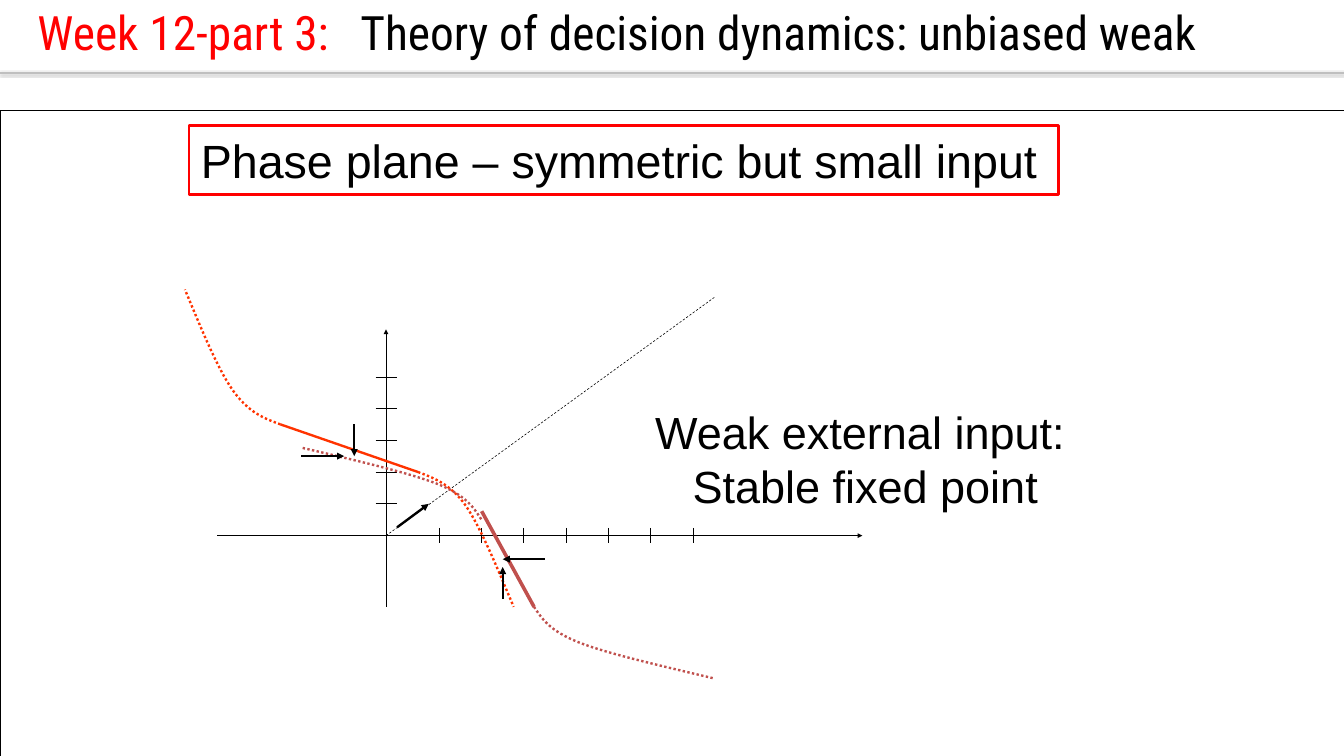
from dataclasses import dataclass
from typing import NamedTuple

from lxml import etree
from pptx import Presentation
from pptx.dml.color import RGBColor
from pptx.enum.dml import MSO_LINE
from pptx.enum.shapes import MSO_CONNECTOR, MSO_SHAPE
from pptx.enum.text import MSO_ANCHOR, MSO_AUTO_SIZE, PP_ALIGN
from pptx.oxml.ns import qn
from pptx.shapes.connector import Connector
from pptx.slide import Slide
from pptx.text.text import TextFrame
from pptx.util import Cm, Pt

STRAIGHT = MSO_CONNECTOR.STRAIGHT
RECT = MSO_SHAPE.RECTANGLE
DASH = MSO_LINE.DASH
DOT = MSO_LINE.ROUND_DOT
TOP = MSO_ANCHOR.TOP
LEFT = PP_ALIGN.LEFT
FIXED = MSO_AUTO_SIZE.NONE


@dataclass(frozen=True)
class Theme:
    black: RGBColor = RGBColor(0, 0, 0)
    red: RGBColor = RGBColor(255, 0, 0)
    orange: RGBColor = RGBColor(0xFF, 0x33, 0)
    brick: RGBColor = RGBColor(0xC0, 0x50, 0x4D)
    grey: RGBColor = RGBColor(0xBF, 0xBF, 0xBF)
    head: str = "Roboto Condensed"
    body: str = "Arial"
    title: float = 60
    topic: float = 59
    note: float = 57
    thin: float = 0.75
    bold: float = 3


THEME = Theme()
Point = tuple[float, float]


class Line(NamedTuple):
    start: Point
    end: Point
    color: RGBColor = THEME.black
    width: float = THEME.thin
    dash: MSO_LINE | None = None
    arrow: bool = False


class Curve(NamedTuple):
    color: RGBColor
    points: list[Point]


class Label(NamedTuple):
    box: tuple[float, float, float, float]
    lines: list[str]
    size: float
    indent: float = 0
    border: RGBColor | None = None


WIDTH, HEIGHT = 60.02, 33.76
ORIGIN = (17.24, 23.92)
LOW = 27.1

AXES = [
    Line((ORIGIN[0], LOW), (ORIGIN[0], 14.71), arrow=True),
    Line((9.7, ORIGIN[1]), (38.51, ORIGIN[1]), arrow=True),
    Line(ORIGIN, (31.9, 13.28), dash=DASH),
]
TICKS = [Line((x, 23.57), (x, 24.26)) for x in (19.61 + 1.89 * i for i in range(7))]
TICKS += [Line((16.77, y), (17.73, y)) for y in (22.49 - 1.415 * i for i in range(5))]
SLOPES = [
    Line((12.52, 18.95), (18.67, 21.08), THEME.orange, THEME.bold),
    Line((21.51, 22.83), (23.85, LOW), THEME.brick, 4.5),
]
FLOWS = [
    Line(start, end, width=THEME.bold, arrow=True)
    for start, end in [
        ((17.73, 23.55), (19.15, 22.5)),
        ((22.45, 26.75), (22.45, 25.32)),
        ((24.33, 24.97), (22.45, 24.97)),
        ((13.46, 20.37), (15.37, 20.37)),
        ((15.82, 18.95), (15.82, 20.37)),
    ]
]
CURVES = [
    Curve(THEME.orange, [(18.67, 21.08), (19.35, 21.34), (20.09, 21.59), (20.8, 22.58),
                         (21.49, 23.6), (22.2, 25.35), (22.94, LOW)]),
    Curve(THEME.orange, [(12.52, 18.95), (11.81, 18.69), (11.1, 18.43), (10.39, 17.42),
                         (9.7, 16.43), (8.99, 14.68), (8.26, 12.93)]),
    Curve(THEME.brick, [(23.85, LOW), (24.21, 27.64), (24.54, 28.17), (25.88, 28.7),
                        (27.2, 29.21), (29.56, 29.74), (31.9, 30.3)]),
    Curve(THEME.brick, [(21.49, 23.19), (21.16, 22.68), (20.83, 22.12), (19.48, 21.59),
                        (18.14, 21.08), (15.8, 20.54), (13.46, 19.99)]),
]
LABELS = [
    Label((8.44, 5.61, 38.84, 3.07), ["Phase plane – symmetric but small input"],
          THEME.topic, border=THEME.red),
    Label((28.73, 17.78, 19.58, 5.41), ["Weak external input:", "Stable fixed point"],
          THEME.note, indent=1.67),
]


def draw_line(slide: Slide, line: Line) -> Connector:
    ends = [Cm(v) for v in (*line.start, *line.end)]
    shape = slide.shapes.add_connector(STRAIGHT, *ends)
    shape.line.color.rgb = line.color
    shape.line.width = Pt(line.width)
    if line.dash:
        shape.line.dash_style = line.dash
    if line.arrow:
        tip = etree.SubElement(shape.line._get_or_add_ln(), qn("a:tailEnd"))
        tip.set("type", "triangle")
    etree.SubElement(shape._element.spPr, qn("a:effectLst"))
    return shape


def draw_curve(slide: Slide, curve: Curve) -> None:
    knots = [(Cm(x), Cm(y)) for x, y in curve.points]
    pen = slide.shapes.build_freeform(*knots[0])
    pen.add_line_segments(knots[1:], close=False)
    shape = pen.convert_to_shape()
    legs = list(shape._element.iter(qn("a:lnTo")))
    route = legs[0].getparent()
    for first in range(0, len(legs), 3):
        bend = etree.SubElement(route, qn("a:cubicBezTo"))
        for leg in legs[first:first + 3]:
            bend.append(leg[0])
            route.remove(leg)
    shape.shadow.inherit = False
    shape.fill.background()
    shape.line.color.rgb = curve.color
    shape.line.width = Pt(THEME.bold)
    shape.line.dash_style = DOT


def set_frame(frame: TextFrame) -> None:
    frame.word_wrap = True
    frame.auto_size = FIXED
    frame.vertical_anchor = TOP


def draw_label(slide: Slide, label: Label) -> None:
    shape = slide.shapes.add_textbox(*(Cm(v) for v in label.box))
    if label.border:
        shape.line.color.rgb = label.border
        shape.line.width = Pt(THEME.bold)
    frame = shape.text_frame
    set_frame(frame)
    frame.margin_left = frame.margin_right = Cm(0.53)
    frame.margin_top = frame.margin_bottom = Cm(0.28)
    frame.text = "\n".join(label.lines)
    for row, para in enumerate(frame.paragraphs):
        if row:
            para._p.get_or_add_pPr().set("marL", str(Cm(label.indent)))
        para.font.name = THEME.body
        para.font.size = Pt(label.size)
        para.font.color.rgb = THEME.black


def draw_title(slide: Slide) -> None:
    title = slide.shapes.title
    title.left, title.top, title.width, title.height = Cm(1.42), Cm(0), Cm(57.94), Cm(4.09)
    set_frame(title.text_frame)
    para = title.text_frame.paragraphs[0]
    para.alignment = LEFT
    tabs = etree.SubElement(para._p.get_or_add_pPr(), qn("a:tabLst"))
    etree.SubElement(tabs, qn("a:tab"), pos=str(Cm(14.42)), algn="l")
    para.font.name = THEME.head
    para.font.size = Pt(THEME.title)
    for text, color in [("Week 12-part 3:", THEME.red),
                        ("\tTheory of decision dynamics: unbiased weak", THEME.black)]:
        run = para.add_run()
        run.text = text
        run.font.color.rgb = color


def draw_rule(slide: Slide) -> None:
    rule = draw_line(slide, Line((0, 3.25), (WIDTH, 3.25), THEME.grey, 2))
    effects = rule._element.spPr.find(qn("a:effectLst"))
    shade = etree.SubElement(effects, qn("a:outerShdw"), blurRad=str(Pt(3.1)),
                             dist=str(Pt(1.6)), dir="5400000", rotWithShape="0")
    tint = etree.SubElement(shade, qn("a:srgbClr"), val=str(THEME.black))
    etree.SubElement(tint, qn("a:alpha"), val="38000")


def draw_frame(slide: Slide) -> None:
    frame = slide.shapes.add_shape(RECT, Cm(0), Cm(4.91), Cm(WIDTH), Cm(HEIGHT))
    frame.shadow.inherit = False
    frame.fill.background()
    frame.line.color.rgb = THEME.black
    frame.line.width = Pt(THEME.thin)


def main() -> None:
    deck = Presentation()
    deck.slide_width, deck.slide_height = Cm(WIDTH), Cm(HEIGHT)
    slide = deck.slides.add_slide(deck.slide_layouts[5])
    draw_frame(slide)
    for label in LABELS:
        draw_label(slide, label)
    for line in AXES + TICKS + SLOPES:
        draw_line(slide, line)
    for curve in CURVES:
        draw_curve(slide, curve)
    for line in FLOWS:
        draw_line(slide, line)
    draw_rule(slide)
    draw_title(slide)
    deck.save("out.pptx")


if __name__ == "__main__":
    main()
